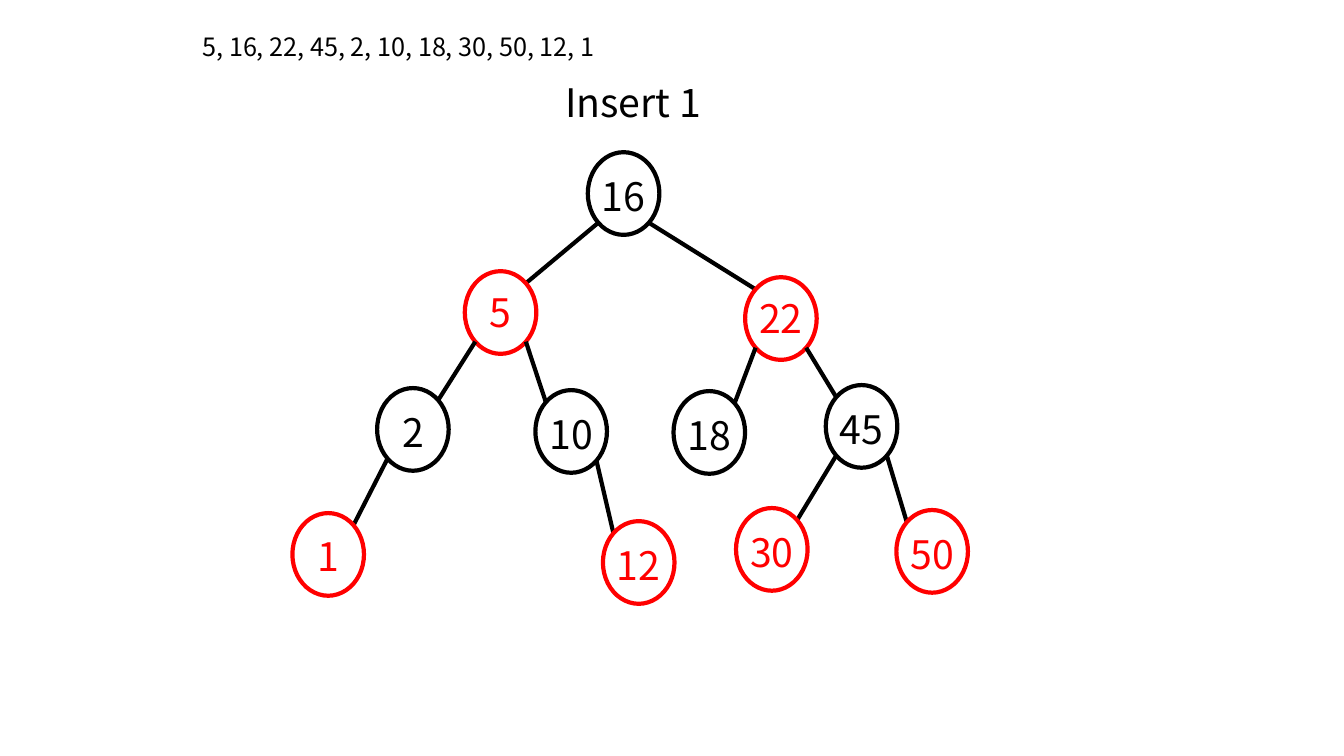
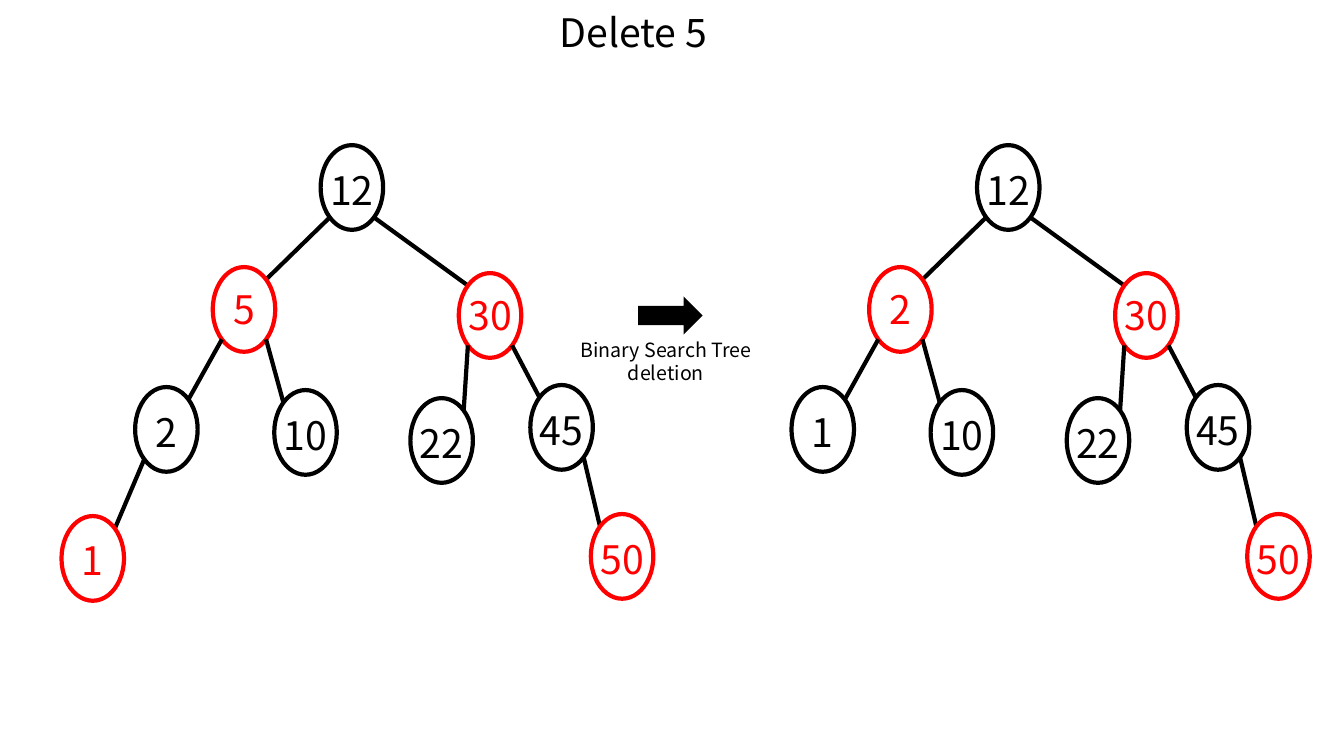
from pptx import Presentation
from pptx.dml.color import RGBColor
from pptx.enum.shapes import MSO_CONNECTOR, MSO_SHAPE
from pptx.enum.text import MSO_ANCHOR, PP_ALIGN
from pptx.oxml.ns import qn
from pptx.util import Inches, Pt
from lxml.etree import SubElement
from math import sqrt

BLACK = RGBColor(0, 0, 0)
RED = RGBColor(255, 0, 0)
FONT = "Noto Sans CJK KR"
STROKE = Pt(3)
BIG = 28

# A node's key is its route from the root, so its parent is key[:-1].
# Each place: left, top of the node and the drop of its number.
WIDE = {
    "size": (0.71, 0.82),
    "places": {
        "": (5.83, 1.51, 0.02),
        "L": (4.61, 2.69, -0.01), "R": (7.39, 2.75, -0.01),
        "LL": (3.74, 3.85, 0.02), "LR": (5.31, 3.87, 0.02),
        "RL": (6.68, 3.88, 0.02), "RR": (8.19, 3.82, 0.02),
        "LLL": (2.9, 5.09, 0.01), "LRR": (5.98, 5.17, 0.02),
        "RRL": (7.3, 5.04, 0.02), "RRR": (8.89, 5.06, 0.02),
    },
}
SLIM = {
    "size": (0.62, 0.84),
    "places": {
        "": (3.18, 1.44, 0.02),
        "L": (2.11, 2.65, -0.01), "R": (4.55, 2.71, -0.01),
        "LL": (1.34, 3.84, 0.02), "LR": (2.72, 3.87, 0.02),
        "RL": (4.07, 3.95, 0.02), "RR": (5.26, 3.82, 0.02),
        "LLL": (0.61, 5.12, 0.01), "RRR": (5.86, 5.1, 0.02),
    },
}
SHIFT = 6.51

FULL = {"": 16, "L": 5, "R": 22, "LL": 2, "LR": 10, "RL": 18, "RR": 45,
        "LLL": 1, "LRR": 12, "RRL": 30, "RRR": 50}
BEFORE = {"": 12, "L": 5, "R": 30, "LL": 2, "LR": 10, "RL": 22, "RR": 45,
          "LLL": 1, "RRR": 50}
AFTER = {"": 12, "L": 2, "R": 30, "LL": 1, "LR": 10, "RL": 22, "RR": 45,
         "RRR": 50}

SLIDES = [
    {
        "texts": [
            ("Insert 1", (4.89, 0.73, 2.78, 0.57), BIG, PP_ALIGN.CENTER),
            ("5, 16, 22, 45, 2, 10, 18, 30, 50, 12, 1",
             (1.91, 0.26, 7.84, 0.4), 18, PP_ALIGN.LEFT),
        ],
        "trees": [(WIDE, FULL, 0)],
        "arrows": [],
    },
    {
        "texts": [
            ("Delete 5", (4.89, 0.03, 2.78, 0.57), BIG, PP_ALIGN.CENTER),
            ("Binary Search Tree deletion",
             (5.48, 3.3, 2.25, 0.57), 14, PP_ALIGN.CENTER),
        ],
        "trees": [(SLIM, BEFORE, 0), (SLIM, AFTER, SHIFT)],
        "arrows": [(6.33, 2.94, 0.64, 0.38)],
    },
]


def inches(values):
    return [Inches(v) for v in values]


def write(frame, text, size, color, align):
    para = frame.paragraphs[0]
    para.alignment = align
    run = para.add_run()
    run.text = text
    looks = {"name": FONT, "size": Pt(size)}
    for name, value in looks.items():
        setattr(run.font, name, value)
    run.font.color.rgb = color
    # Set the East Asian face as well as the Latin one.
    SubElement(run.font._element, qn("a:ea"), typeface=FONT)


def add_text(slide, text, box, size, align):
    frame = slide.shapes.add_textbox(*inches(box)).text_frame
    frame.word_wrap = True
    write(frame, text, size, BLACK, align)


def add_arrow(slide, box):
    arrow = slide.shapes.add_shape(MSO_SHAPE.RIGHT_ARROW, *inches(box))
    arrow.shadow.inherit = False
    arrow.fill.solid()
    arrow.fill.fore_color.rgb = BLACK
    arrow.line.fill.background()


def add_node(shapes, box, label, color, drop):
    node = shapes.add_shape(MSO_SHAPE.OVAL, *inches(box))
    node.shadow.inherit = False
    node.fill.background()
    node.line.color.rgb = color
    node.line.width = STROKE
    frame = node.text_frame
    layout = {
        "word_wrap": False,
        "vertical_anchor": MSO_ANCHOR.MIDDLE,
        "margin_left": 0,
        "margin_right": 0,
        "margin_top": Inches(max(0, 2 * drop)),
        "margin_bottom": Inches(max(0, -2 * drop)),
    }
    for name, value in layout.items():
        setattr(frame, name, value)
    write(frame, str(label), BIG, color, PP_ALIGN.CENTER)


def add_edge(shapes, start, end):
    edge = shapes.add_connector(MSO_CONNECTOR.STRAIGHT, *inches(start + end))
    edge.line.color.rgb = BLACK
    edge.line.width = STROKE
    SubElement(edge._element.spPr, qn("a:effectLst"))


def corner(box, across, down):
    """Return the point on the ellipse in the given diagonal direction."""
    left, top, width, height = box
    return (left + width / 2 * (1 + across / sqrt(2)),
            top + height / 2 * (1 + down / sqrt(2)))


def add_tree(slide, plan, labels, shift):
    shapes = slide.shapes.add_group_shape().shapes
    places = plan["places"]
    boxes = {key: (places[key][0] + shift, places[key][1], *plan["size"])
             for key in labels}
    for key, label in labels.items():
        if key:
            side = -1 if key[-1] == "L" else 1
            add_edge(shapes, corner(boxes[key[:-1]], side, 1),
                     corner(boxes[key], -side, -1))
        # Levels alternate between black and red.
        color = RED if len(key) % 2 else BLACK
        add_node(shapes, boxes[key], label, color, places[key][2])


def main():
    deck = Presentation()
    deck.slide_width, deck.slide_height = inches((13.33, 7.5))
    for page in SLIDES:
        slide = deck.slides.add_slide(deck.slide_layouts[6])
        for text in page["texts"]:
            add_text(slide, *text)
        for box in page["arrows"]:
            add_arrow(slide, box)
        for tree in page["trees"]:
            add_tree(slide, *tree)
    deck.save("out.pptx")


if __name__ == "__main__":
    main()
